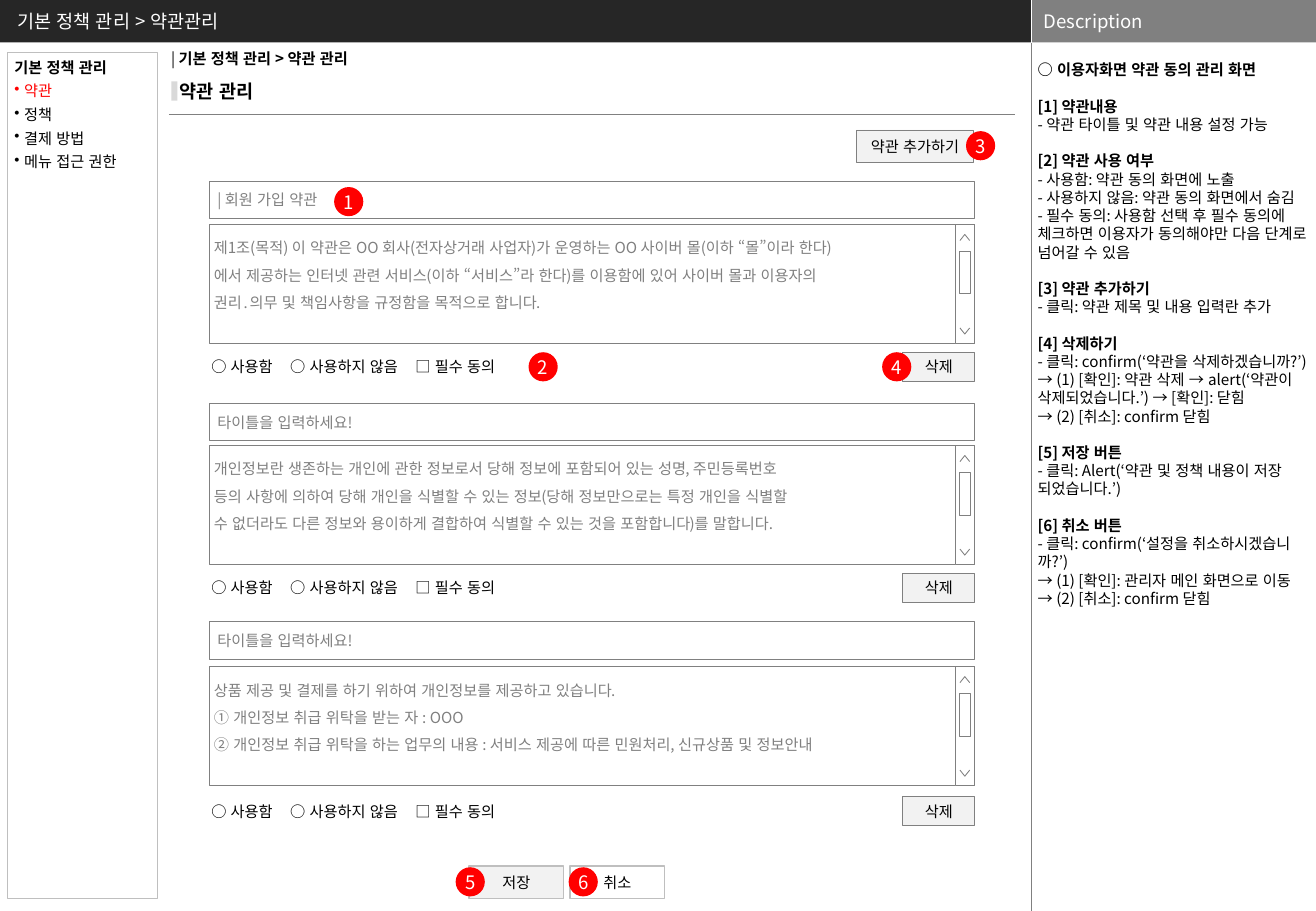
"""Build the admin wireframe slide for managing terms and conditions."""
from lxml import etree
from pptx import Presentation
from pptx.dml.color import RGBColor
from pptx.enum.lang import MSO_LANGUAGE_ID
from pptx.enum.shapes import MSO_CONNECTOR, MSO_SHAPE
from pptx.enum.text import MSO_ANCHOR, PP_ALIGN
from pptx.oxml.ns import qn
from pptx.util import Inches, Pt

RECT, OVAL = MSO_SHAPE.RECTANGLE, MSO_SHAPE.OVAL
STRAIGHT = MSO_CONNECTOR.STRAIGHT
TOP, MIDDLE = MSO_ANCHOR.TOP, MSO_ANCHOR.MIDDLE
LEFT, CENTER = PP_ALIGN.LEFT, PP_ALIGN.CENTER
KOREAN = MSO_LANGUAGE_ID.KOREAN
FONT = "Noto Sans CJK KR"

BLACK = RGBColor(0x00, 0x00, 0x00)
WHITE = RGBColor(0xFF, 0xFF, 0xFF)
DARK = RGBColor(0x26, 0x26, 0x26)
GRAY = RGBColor(0x80, 0x80, 0x80)
SILVER = RGBColor(0xBF, 0xBF, 0xBF)
MARK = RGBColor(0xD9, 0xD9, 0xD9)
PALE = RGBColor(0xF2, 0xF2, 0xF2)
RED = RGBColor(0xFF, 0x00, 0x00)

PAGE_W, PAGE_H = 10.83, 7.5
SPLIT = 8.49
SIDE_W = PAGE_W - SPLIT
BAR_H = 0.35
FIELD_LEFT, FIELD_W = 1.72, 6.3
FIELD_RIGHT = FIELD_LEFT + FIELD_W
TITLE_H, TERMS_H = 0.31, 0.98
TRACK_W, THUMB_W = 0.16, 0.09
DELETE_W, DELETE_H = 0.59, 0.24
BADGE = 0.24

deck = Presentation()
deck.slide_width, deck.slide_height = Inches(PAGE_W), Inches(PAGE_H)
page = deck.slides.add_slide(deck.slide_layouts[6])


def add_box(left, top, width, height, fill=None, line=None, weight=0.5, kind=RECT):
    """Add a preset shape without shadow; no fill or line unless given."""
    box = page.shapes.add_shape(kind, Inches(left), Inches(top), Inches(width), Inches(height))
    box.shadow.inherit = False
    if fill is None:
        box.fill.background()
    else:
        box.fill.solid()
        box.fill.fore_color.rgb = fill
    if line is None:
        box.line.fill.background()
    else:
        box.line.color.rgb = line
        box.line.width = Pt(weight)
    return box


def write(box, lines, size=9, color=BLACK, align=LEFT, anchor=MIDDLE, inset=(0.04, 0.04), pitch=1.2):
    """Fill a shape with paragraphs; text between double asterisks is bold."""
    frame = box.text_frame
    frame.word_wrap = True
    frame.vertical_anchor = anchor
    frame.margin_left = frame.margin_right = Inches(inset[0])
    frame.margin_top = frame.margin_bottom = Inches(inset[1])
    for number, line in enumerate(lines):
        para = frame.add_paragraph() if number else frame.paragraphs[0]
        para.alignment = align
        para.line_spacing = Pt(size * pitch)
        for part, text in enumerate(line.split("**")):
            if not text:
                continue
            span = para.add_run()
            span.text = text
            span.font.size = Pt(size)
            span.font.bold = part % 2 == 1
            span.font.color.rgb = color
            span.font.name = FONT
            span.font.language_id = KOREAN
            etree.SubElement(span._r.get_or_add_rPr(), qn("a:ea")).set("typeface", FONT)
    return frame.paragraphs


write(add_box(0, 0, SPLIT, BAR_H, DARK), ["기본 정책 관리 > 약관관리"], 11, WHITE, inset=(0.14, 0))
write(add_box(SPLIT, 0, SIDE_W, BAR_H, GRAY), ["Description"], 11, WHITE, inset=(0.1, 0.02))

rules = [
    (SPLIT, 0, SPLIT, BAR_H, WHITE, 0.25),
    (SPLIT, BAR_H, SPLIT, PAGE_H, GRAY, 0.25),
    (1.39, 0.94, 8.35, 0.94, GRAY, 0.5),
]
for x1, y1, x2, y2, color, weight in rules:
    rule = page.shapes.add_connector(STRAIGHT, Inches(x1), Inches(y1), Inches(x2), Inches(y2))
    rule.line.color.rgb = color
    rule.line.width = Pt(weight)
    etree.SubElement(rule._element.spPr, qn("a:effectLst"))

description = [
    "**○ 이용자화면 약관 동의 관리 화면**",
    "**[1] 약관내용**",
    "- 약관 타이틀 및 약관 내용 설정 가능",
    "**[2] 약관 사용 여부**",
    "- 사용함: 약관 동의 화면에 노출",
    "- 사용하지 않음: 약관 동의 화면에서 숨김",
    "- 필수 동의: 사용함 선택 후 필수 동의에 체크하면 이용자가 동의해야만 다음 단계로 넘어갈 수 있음",
    "**[3] 약관 추가하기**",
    "- 클릭: 약관 제목 및 내용 입력란 추가",
    "**[4] 삭제하기**",
    "- 클릭: confirm(‘약관을 삭제하겠습니까?’)",
    "→ (1) [확인]: 약관 삭제 → alert(‘약관이 삭제되었습니다.’) → [확인]: 닫힘",
    "→ (2) [취소]: confirm 닫힘",
    "**[5] 저장 버튼**",
    "- 클릭: Alert(‘약관 및 정책 내용이 저장 되었습니다.’)",
    "**[6] 취소 버튼**",
    "- 클릭: confirm(‘설정을 취소하시겠습니까?’)",
    "→ (1) [확인]: 관리자 메인 화면으로 이동",
    "→ (2) [취소]: confirm 닫힘",
]
notes_box = add_box(SPLIT + 0.01, 0.5, SIDE_W, PAGE_H - 0.5)
for para in write(notes_box, description, anchor=TOP, inset=(0.04, 0)):
    if para.text.startswith("["):
        para.space_before = Pt(10.8)

menu_box = add_box(0.06, 0.43, 1.24, 6.97, line=SILVER, weight=0.75)
menu = ["**기본 정책 관리**", "약관", "정책", "결제 방법", "메뉴 접근 권한"]
menu_items = write(menu_box, menu, anchor=TOP, inset=(0.06, 0.05))[1:]
for item in menu_items:
    item.line_spacing = Pt(14)
    properties = item._p.get_or_add_pPr()
    properties.set("marL", str(Inches(0.08)))
    properties.set("indent", str(-Inches(0.08)))
    etree.SubElement(properties, qn("a:buChar")).set("char", "•")
menu_items[0].runs[0].font.color.rgb = RED

write(add_box(1.31, 0.36, 3, 0.25), ["| **기본 정책 관리 > 약관 관리**"], anchor=TOP, inset=(0.1, 0.05))
write(add_box(1.48, 0.66, 1.5, 0.19), ["**약관 관리**"], 11, anchor=TOP, inset=(0, 0))
add_box(1.41, 0.67, 0.05, 0.16, MARK)

sections = [
    (1.49, 1.85, 2.9, "| 회원 가입 약관", [
        "제1조(목적) 이 약관은 OO 회사(전자상거래 사업자)가 운영하는 OO 사이버 몰(이하 “몰”이라 한다)",
        "에서 제공하는 인터넷 관련 서비스(이하 “서비스”라 한다)를 이용함에 있어 사이버 몰과 이용자의",
        "권리․의무 및 책임사항을 규정함을 목적으로 합니다."]),
    (3.32, 3.67, 4.72, "타이틀을 입력하세요!", [
        "개인정보란 생존하는 개인에 관한 정보로서 당해 정보에 포함되어 있는 성명, 주민등록번호",
        "등의 사항에 의하여 당해 개인을 식별할 수 있는 정보(당해 정보만으로는 특정 개인을 식별할",
        "수 없더라도 다른 정보와 용이하게 결합하여 식별할 수 있는 것을 포함합니다)를 말합니다."]),
    (5.12, 5.49, 6.56, "타이틀을 입력하세요!", [
        "상품 제공 및 결제를 하기 위하여 개인정보를 제공하고 있습니다.",
        "① 개인정보 취급 위탁을 받는 자 : OOO",
        "② 개인정보 취급 위탁을 하는 업무의 내용 : 서비스 제공에 따른 민원처리, 신규상품 및 정보안내"]),
]
track_left = FIELD_RIGHT - TRACK_W
track_middle = track_left + TRACK_W / 2
for title_top, terms_top, option_top, title, terms in sections:
    title_box = add_box(FIELD_LEFT, title_top, FIELD_W, TITLE_H, WHITE, GRAY)
    write(title_box, [title], color=GRAY, inset=(0.07, 0.04))
    terms_box = add_box(FIELD_LEFT, terms_top, FIELD_W, TERMS_H, WHITE, GRAY)
    write(terms_box, terms, color=GRAY, anchor=TOP, pitch=1.8)

    add_box(track_left, terms_top, TRACK_W, TERMS_H, WHITE, GRAY)
    add_box(track_middle - THUMB_W / 2, terms_top + 0.22, THUMB_W, 0.35, WHITE, GRAY)
    for base, tip in [(0.13, 0.08), (0.85, 0.9)]:
        points = [(Inches(track_middle + shift), Inches(terms_top + drop))
                  for shift, drop in [(-0.04, base), (0, tip), (0.04, base)]]
        builder = page.shapes.build_freeform(*points[0])
        builder.add_line_segments(points[1:], close=False)
        chevron = builder.convert_to_shape()
        chevron.shadow.inherit = False
        chevron.fill.background()
        chevron.line.color.rgb = GRAY
        chevron.line.width = Pt(0.5)

    option_box = add_box(1.64, option_top, 2.79, DELETE_H)
    options = write(option_box, ["○ 사용함\t○ 사용하지 않음\t□ 필수 동의"], inset=(0.1, 0))
    tabs = etree.SubElement(options[0]._p.get_or_add_pPr(), qn("a:tabLst"))
    for stop in (0.65, 1.68):
        etree.SubElement(tabs, qn("a:tab"), pos=str(Inches(stop)), algn="l")
    delete_box = add_box(FIELD_RIGHT - DELETE_W, option_top, DELETE_W, DELETE_H, PALE, GRAY)
    write(delete_box, ["삭제"], align=CENTER)

buttons = [
    ("약관 추가하기", 7.05, 1.07, 0.96, PALE, GRAY, 0.5),
    ("저장", 3.86, 7.13, 0.78, PALE, SILVER, 0.75),
    ("취소", 4.69, 7.13, 0.78, WHITE, SILVER, 0.75),
]
for label, left, top, width, fill, line, weight in buttons:
    write(add_box(left, top, width, 0.27, fill, line, weight), [label], align=CENTER)

badges = [(2.75, 1.54), (4.35, 2.9), (7.95, 1.08), (7.26, 2.9), (3.75, 7.14), (4.68, 7.14)]
for number, (left, top) in enumerate(badges, 1):
    badge = add_box(left, top, BADGE, BADGE, RED, kind=OVAL)
    write(badge, [str(number)], 11, WHITE, CENTER, inset=(0, 0))

deck.save("out.pptx")
